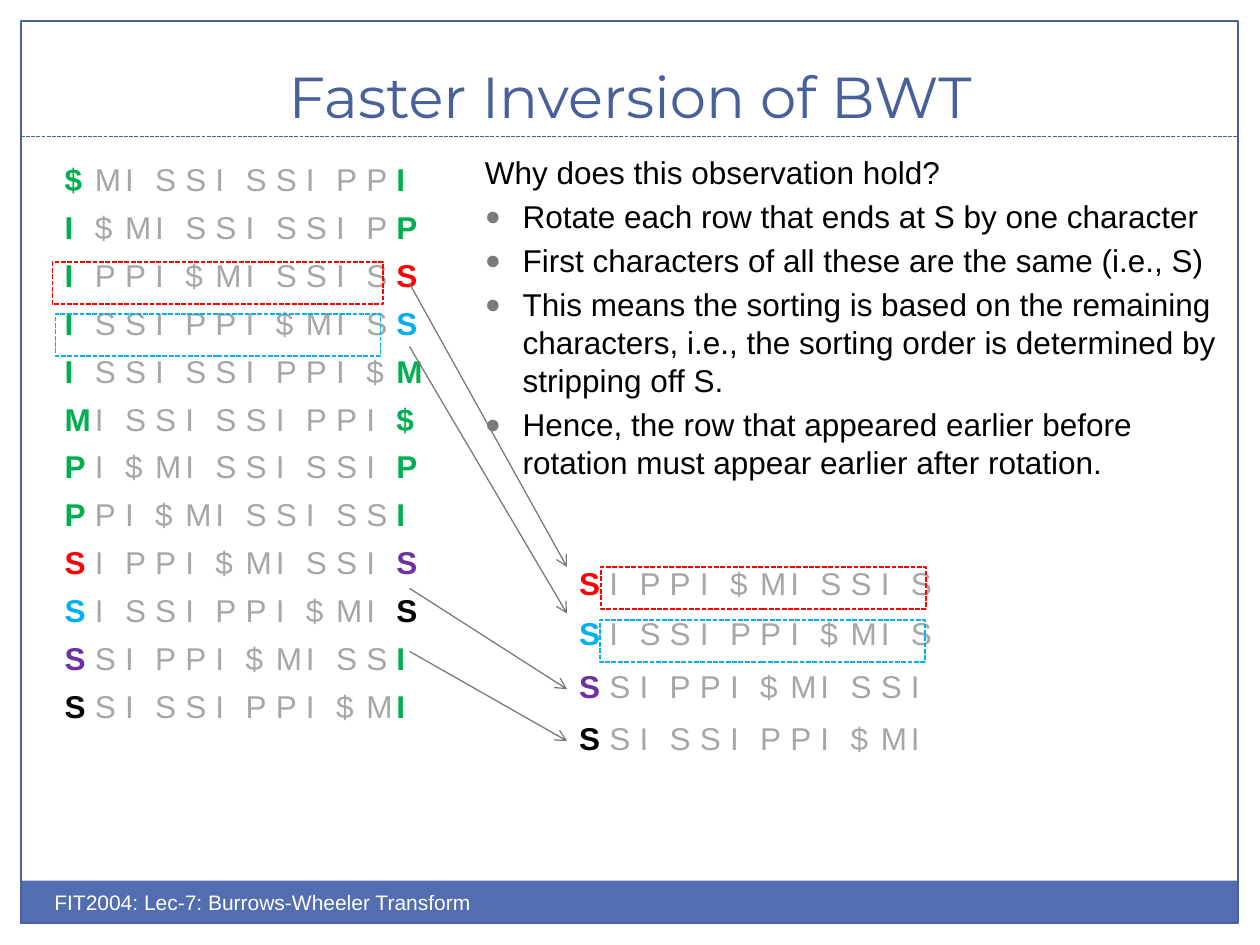
"""Build the slide on faster inversion of the Burrows-Wheeler transform."""
from lxml import etree
from pptx import Presentation
from pptx.dml.color import RGBColor
from pptx.enum import dml, shapes, text
from pptx.oxml import ns
from pptx.util import Pt

WORD = "MISSISSIPPI$"
GREEN, GREY, BLUE, MID = "00B050", "A6A6A6", "48609B", "7A7A7A"
RED, CYAN = "FF0000", "00B0F0"
TINTS = [RED, CYAN, "7030A0", "000000"]
LEAD = "Why does this observation hold?"
POINTS = [
    "Rotate each row that ends at S by one character",
    "First characters of all these are the same (i.e., S)",
    "This means the sorting is based on the remaining characters, "
    "i.e., the sorting order is determined by stripping off S.",
    "Hence, the row that appeared earlier before rotation must appear "
    "earlier after rotation.",
]
TOPS = [320.4, 349.2, 379.4, 409]
ARROWS = [(162, 324), (198, 350.6), (336.2, 393.8), (372.2, 423.4)]
BOXES = [
    (343.4, 324, 185.8, 24, RED),
    (30, 149.8, 189, 24, RED),
    (342.7, 354.2, 185.8, 24, CYAN),
    (31.7, 179.3, 185.8, 24, CYAN),
]
COL, ROW = 17.25, 27.35
PLAIN = "{2D5ABB26-0587-4C30-8999-92F81FD0307C}"


def rgb(code):
    return RGBColor.from_string(code)


def pts(*nums):
    return [Pt(n) for n in nums]


def add_run(para, words, size, tint, font="Arial", bold=False):
    run = para.add_run()
    run.text = words
    run.font.size, run.font.name, run.font.bold = Pt(size), font, bold
    run.font.color.rgb = rgb(tint)


def add_text(slide, *area):
    frame = slide.shapes.add_textbox(*pts(*area)).text_frame
    frame.word_wrap = True
    return frame


def add_box(slide, area, fill=None, edge=None, width=0.75, dash=False):
    box = slide.shapes.add_shape(shapes.MSO_SHAPE.RECTANGLE, *pts(*area))
    box.shadow.inherit = False
    if fill:
        box.fill.solid()
        box.fill.fore_color.rgb = rgb(fill)
    else:
        box.fill.background()
    if edge:
        style(box.line, edge, width, dash)
    else:
        box.line.fill.background()


def style(line, tint, width, dash):
    line.color.rgb, line.width = rgb(tint), Pt(width)
    if dash:
        line.dash_style = dml.MSO_LINE.SQUARE_DOT


def add_line(slide, ends, tint, dash=False, head=False):
    link = slide.shapes.add_connector(shapes.MSO_CONNECTOR.STRAIGHT, *pts(*ends))
    style(link.line, tint, 0.75, dash)
    if head:
        etree.SubElement(link.line._get_or_add_ln(), ns.qn("a:tailEnd"), type="arrow")
    etree.SubElement(link._element.spPr, ns.qn("a:effectLst"))


def add_bullet(para):
    props = para._p.get_or_add_pPr()
    props.set("marL", str(Pt(21.6)))
    props.set("indent", str(-Pt(21.6)))
    tint = etree.SubElement(props, ns.qn("a:buClr"))
    etree.SubElement(tint, ns.qn("a:srgbClr"), val=MID)
    etree.SubElement(props, ns.qn("a:buSzPct"), val="85000")
    etree.SubElement(props, ns.qn("a:buFont"), typeface="Arial")
    etree.SubElement(props, ns.qn("a:buChar"), char="●")


def add_grid(slide, left, top, rows):
    wide = len(WORD)
    area = pts(left, top, COL * wide, ROW * len(rows))
    grid = slide.shapes.add_table(len(rows), wide, *area).table
    grid.first_row = grid.horz_banding = False
    grid._tbl.tblPr.find(ns.qn("a:tableStyleId")).text = PLAIN
    for col in grid.columns:
        col.width = Pt(COL)
    for y, (word, tints) in enumerate(rows):
        grid.rows[y].height = Pt(ROW)
        for x, char in enumerate(word):
            cell = grid.cell(y, x)
            cell.fill.background()
            cell.margin_left = cell.margin_right = Pt(7)
            cell.margin_top, cell.margin_bottom = pts(3.4, 2.3)
            para = cell.text_frame.paragraphs[0]
            para.alignment = text.PP_ALIGN.CENTER
            add_run(para, char, 18, tints.get(x, GREY), bold=x in tints)


def shade(chars):
    tints = iter(TINTS)
    return [next(tints) if char == "S" else GREEN for char in chars]


def main():
    deck = Presentation()
    deck.slide_width, deck.slide_height = pts(720, 540)
    slide = deck.slides.add_slide(deck.slide_layouts[6])

    add_box(slide, (11.5, 503.3, 695.5, 24.5), fill="526DB0")
    add_box(slide, (12, 12, 695.5, 515.5), edge=BLUE)
    add_line(slide, (12, 78, 707.5, 78), BLUE, dash=True)

    title = add_text(slide, 24, 18, 672, 60)
    title.vertical_anchor = text.MSO_ANCHOR.BOTTOM
    title.paragraphs[0].alignment = text.PP_ALIGN.CENTER
    add_run(title.paragraphs[0], "Faster Inversion of BWT", 33, BLUE, "Montserrat")

    body = add_text(slide, 270, 84, 432, 190)
    for i, words in enumerate([LEAD] + POINTS):
        para = body.add_paragraph() if i else body.paragraphs[0]
        if i:
            para.space_before = Pt(3.6)
            add_bullet(para)
        add_run(para, words, 18, "000000")

    foot = add_text(slide, 24, 504.7, 360, 28.8)
    add_run(foot.paragraphs[0], "FIT2004: Lec-7: Burrows-Wheeler Transform", 12, "FFFFFF")

    turns = sorted(WORD[i:] + WORD[:i] for i in range(len(WORD)))
    first, last = (shade(turn[k] for turn in turns) for k in (0, -1))
    rows = [(t, {0: a, len(WORD) - 1: b}) for t, a, b in zip(turns, first, last)]
    add_grid(slide, 30, 90, rows)

    found = [turn for turn in turns if turn[0] == "S"]
    for word, tint, top in zip(found, TINTS, TOPS):
        add_grid(slide, 324, top, [(word, {0: tint})])
    for start, end in ARROWS:
        add_line(slide, (234, start, 324, end), MID, head=True)
    for *area, tint in BOXES:
        add_box(slide, area, edge=tint, width=0.9, dash=True)

    deck.save("out.pptx")


if __name__ == "__main__":
    main()
